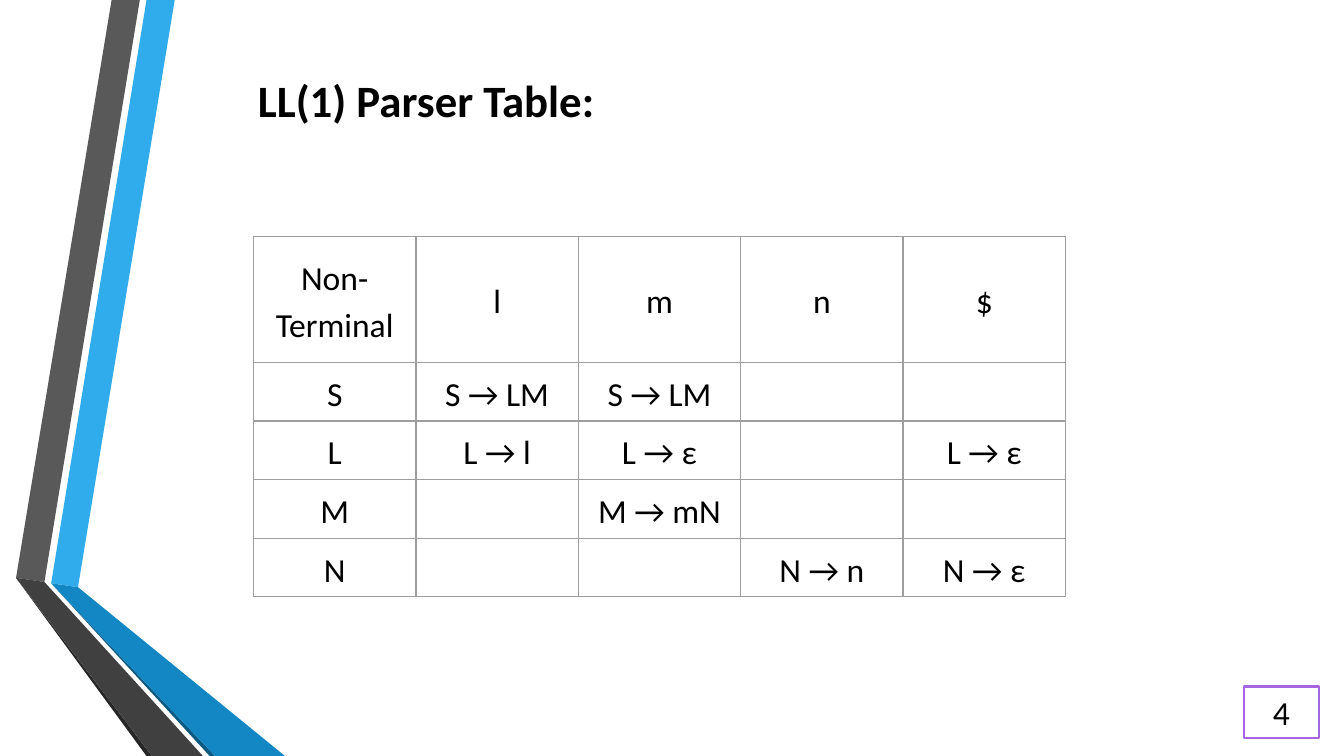
from dataclasses import dataclass

from lxml import etree
from pptx import Presentation
from pptx import util as u
from pptx.dml.color import RGBColor
from pptx.enum import shapes, text
from pptx.oxml.ns import qn
from pptx.slide import Slide
from pptx.table import _Cell

Point = tuple[float, float]


@dataclass(frozen=True)
class Theme:
    font: str = "Calibri"
    title_size: float = 24
    body_size: float = 18
    ink: str = "000000"
    paper: str = "FFFFFF"
    grid: str = "9E9E9E"
    frame: str = "A666E1"
    blue: str = "30ACEC"
    blue_mid: str = "1287C3"
    blue_dark: str = "0C5A82"
    gray: str = "595959"
    gray_mid: str = "404040"
    gray_dark: str = "262626"


@dataclass(frozen=True)
class Ribbon:
    color: str
    points: tuple[Point, ...]


THEME = Theme()
WIDTH, HEIGHT = 720, 405

# Corners where the upper and lower ribbons fold
BLUE_L, BLUE_R = (27.4, 312.5), (41.8, 314.6)
GRAY_L, GRAY_R = (8.6, 309.6), (23.8, 311.8)

RIBBONS = (
    Ribbon(THEME.blue, (BLUE_L, BLUE_R, (93.6, 0), (78.5, 0))),
    Ribbon(THEME.gray, (GRAY_L, GRAY_R, (74.9, 0), (59.8, 0))),
    Ribbon(THEME.gray_dark, (GRAY_L, (78.5, HEIGHT), (81.4, HEIGHT))),
    Ribbon(THEME.blue_dark, (BLUE_L, (112.3, HEIGHT), (115.2, HEIGHT))),
    Ribbon(THEME.blue_mid, (BLUE_L, (115.2, HEIGHT), (152.6, HEIGHT), BLUE_R)),
    Ribbon(THEME.gray_mid, (GRAY_L, (81.4, HEIGHT), (108.7, HEIGHT), GRAY_R)),
)

PARSER_ROWS = (
    ("Non-Terminal", "l", "m", "n", "$"),
    ("S", "S → LM", "S → LM", "", ""),
    ("L", "L → l", "L → ε", "", "L → ε"),
    ("M", "", "M → mN", "", ""),
    ("N", "", "", "N → n", "N → ε"),
)
COL_WIDTH, HEADER_HEIGHT, ROW_HEIGHT = 87, 67.7, 31.4


def style_paragraph(p, size: float, align, bold: bool = False) -> None:
    p.alignment = align
    p.font.name = THEME.font
    p.font.size = u.Pt(size)
    p.font.bold = bold
    p.font.color.rgb = RGBColor.from_string(THEME.ink)


def draw_ribbon(s: Slide, ribbon: Ribbon) -> None:
    start, *rest = [(u.Pt(x), u.Pt(y)) for x, y in ribbon.points]
    builder = s.shapes.build_freeform(*start)
    builder.add_line_segments(rest, close=True)
    sp = builder.convert_to_shape()
    sp.shadow.inherit = False
    sp.fill.solid()
    sp.fill.fore_color.rgb = RGBColor.from_string(ribbon.color)
    sp.line.fill.background()


def draw_title(s: Slide, title: str) -> None:
    sp = s.shapes.title
    sp.left, sp.top, sp.width, sp.height = map(u.Pt, (131, 35.3, 231, 65.5))
    tf = sp.text_frame
    tf.text = title
    tf.auto_size = text.MSO_AUTO_SIZE.NONE
    tf.vertical_anchor = text.MSO_ANCHOR.TOP
    style_paragraph(tf.paragraphs[0], THEME.title_size, text.PP_ALIGN.LEFT, True)


def add_borders(cell: _Cell) -> None:
    tc_pr = cell._tc.get_or_add_tcPr()
    for side in ("lnL", "lnR", "lnT", "lnB"):
        line = etree.SubElement(tc_pr, qn(f"a:{side}"), w=str(u.Pt(0.75)))
        fill = etree.SubElement(line, qn("a:solidFill"))
        etree.SubElement(fill, qn("a:srgbClr"), val=THEME.grid)


def draw_cell(cell: _Cell, label: str) -> None:
    cell.text = label
    cell.vertical_anchor = text.MSO_ANCHOR.MIDDLE
    cell.margin_left = cell.margin_right = u.Pt(0.75)
    cell.margin_top = cell.margin_bottom = u.Pt(0.75)
    p = cell.text_frame.paragraphs[0]
    style_paragraph(p, THEME.body_size, text.PP_ALIGN.CENTER)
    p.line_spacing = 1.15
    add_borders(cell)
    cell.fill.background()


def draw_table(s: Slide, rows: tuple[tuple[str, ...], ...]) -> None:
    heights = [HEADER_HEIGHT] + [ROW_HEIGHT] * (len(rows) - 1)
    cols = len(rows[0])
    table = s.shapes.add_table(
        len(rows), cols, u.Pt(135.8), u.Pt(126.5),
        u.Pt(COL_WIDTH * cols), u.Pt(sum(heights))).table
    table.first_row = table.horz_banding = False
    for col in table.columns:
        col.width = u.Pt(COL_WIDTH)
    for r, (labels, height) in enumerate(zip(rows, heights)):
        table.rows[r].height = u.Pt(height)
        for c, label in enumerate(labels):
            draw_cell(table.cell(r, c), label)


def draw_page_number(s: Slide, number: str) -> None:
    sp = s.shapes.add_shape(shapes.MSO_SHAPE.RECTANGLE,
                            *map(u.Pt, (666.5, 367.8, 40, 27.5)))
    sp.shadow.inherit = False
    sp.fill.solid()
    sp.fill.fore_color.rgb = RGBColor.from_string(THEME.paper)
    sp.line.color.rgb = RGBColor.from_string(THEME.frame)
    sp.line.width = u.Pt(1.25)
    tf = sp.text_frame
    tf.text = number
    tf.vertical_anchor = text.MSO_ANCHOR.MIDDLE
    style_paragraph(tf.paragraphs[0], THEME.body_size, text.PP_ALIGN.CENTER)


def main() -> None:
    prs = Presentation()
    prs.slide_width, prs.slide_height = u.Pt(WIDTH), u.Pt(HEIGHT)
    s = prs.slides.add_slide(prs.slide_layouts[5])

    # Folded ribbons on the left edge
    for ribbon in RIBBONS:
        draw_ribbon(s, ribbon)

    # Content
    draw_table(s, PARSER_ROWS)
    draw_title(s, "LL(1) Parser Table:")
    draw_page_number(s, "4")

    prs.save("out.pptx")


if __name__ == "__main__":
    main()
